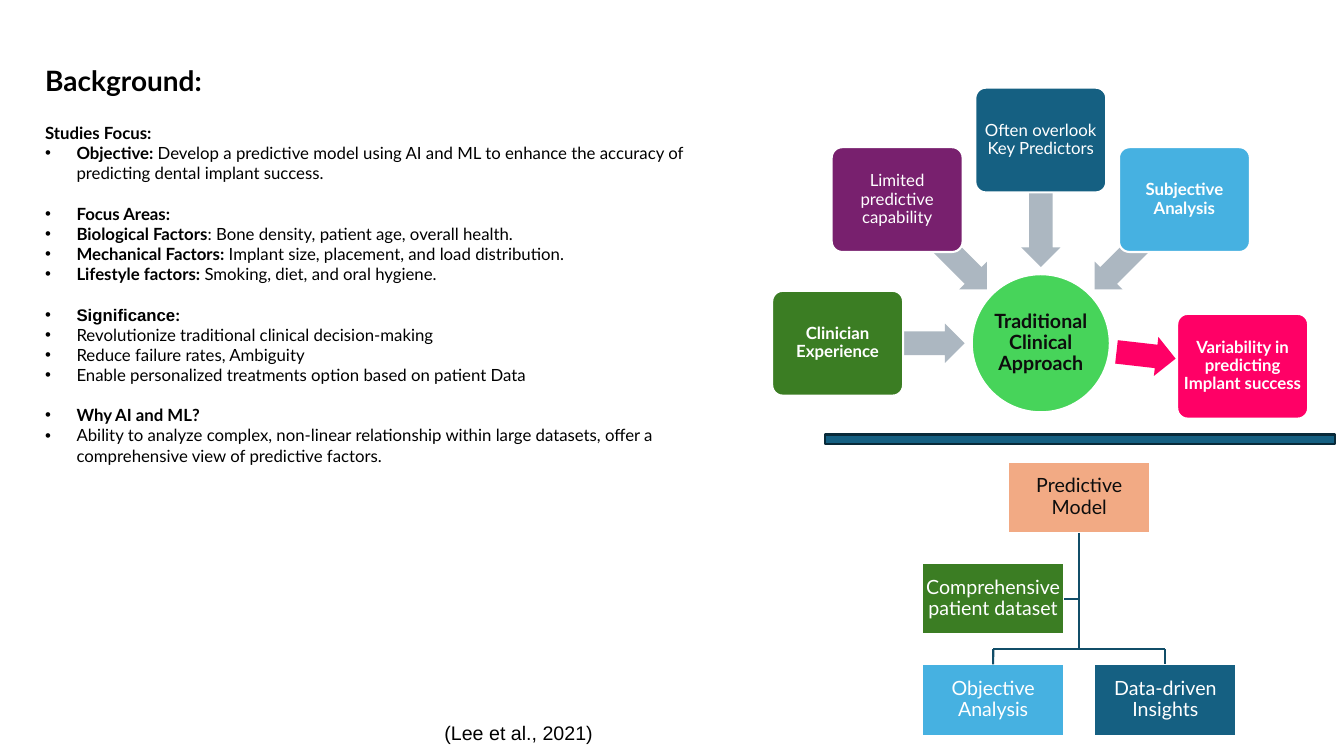
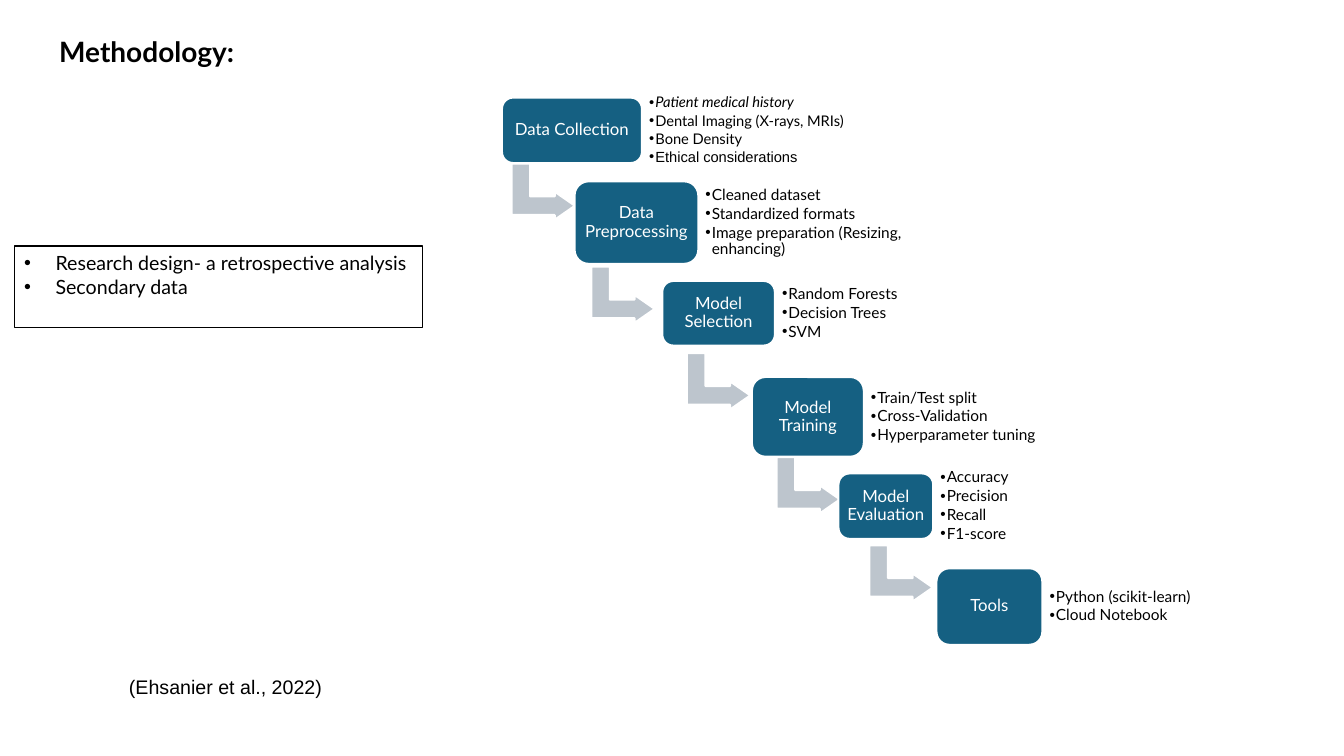
from collections import namedtuple
from dataclasses import dataclass
from math import cos, radians, sin

from lxml.etree import SubElement
from pptx import Presentation
from pptx.dml.color import RGBColor
from pptx.enum.shapes import MSO_CONNECTOR, MSO_SHAPE
from pptx.enum.text import MSO_ANCHOR, PP_ALIGN
from pptx.oxml.ns import qn
from pptx.util import Cm, Pt

Box = namedtuple("Box", "x y w h")


@dataclass(frozen=True)
class Theme:
    heading_font: str = "Lato"
    plain_font: str = "Arial"
    ink: str = "000000"
    soft_ink: str = "0D0D0D"
    white: str = "FFFFFF"
    teal: str = "156082"
    deep_teal: str = "092A39"
    wire: str = "114D68"
    sky: str = "46B1E1"
    forest: str = "3B7D23"
    plum: str = "78206E"
    lime: str = "47D45A"
    pink: str = "FF0066"
    peach: str = "F2AA84"
    inflow: str = "ACB7C1"
    step_arrow: str = "BDC5CD"
    title: float = 20
    lead: float = 14
    body: float = 12
    detail: float = 11
    small_detail: float = 10.5
    outline: float = 1.5
    hairline: float = 0.75
    tight: float = 0.9
    indent: float = 0.79


T = Theme()


def color(value):
    return RGBColor.from_string(value)


def apply(target, values):
    for name, value in values.items():
        setattr(target, name, value)


def cm_box(box):
    return [Cm(length) for length in box]


def set_bullet(paragraph, indent):
    properties = paragraph._p.get_or_add_pPr()
    properties.set("marL", str(Cm(indent)))
    properties.set("indent", str(-Cm(indent)))
    SubElement(properties, qn("a:buFont")).set("typeface", "Arial")
    SubElement(properties, qn("a:buChar")).set("char", "•")


def write(holder, paragraphs, size, ink=T.ink, bold=False, font=T.heading_font,
          inset=None, anchor=MSO_ANCHOR.TOP, bullet=None, **spacing):
    frame = holder.text_frame
    apply(frame, {"word_wrap": True, "vertical_anchor": anchor})
    if inset is not None:
        apply(frame, dict.fromkeys(
            ("margin_left", "margin_right", "margin_top", "margin_bottom"), Cm(inset)))
    for index, runs in enumerate(paragraphs):
        paragraph = frame.add_paragraph() if index else frame.paragraphs[0]
        apply(paragraph, {"alignment": PP_ALIGN.LEFT, **spacing})
        if bullet:
            set_bullet(paragraph, bullet)
        for words, changes in ([(runs, {})] if isinstance(runs, str) else runs):
            run = paragraph.add_run()
            run.text = words
            apply(run.font, {"name": font, "size": Pt(size), "bold": bold, **changes})
            run.font.color.rgb = color(ink)
    return frame


def add_text(slide, box, paragraphs, size, **style):
    return write(slide.shapes.add_textbox(*cm_box(box)), paragraphs, size, **style)


def add_block(slide, kind, box, fill=None, line=None, width=T.outline,
              adjustments=(), rotation=0):
    block = slide.shapes.add_shape(kind, *cm_box(box))
    block.shadow.inherit = False
    block.rotation = rotation
    for index, value in enumerate(adjustments):
        block.adjustments[index] = value
    if fill:
        block.fill.solid()
        block.fill.fore_color.rgb = color(fill)
    else:
        block.fill.background()
    if line:
        block.line.color.rgb = color(line)
        block.line.width = Pt(width)
    else:
        block.line.fill.background()
    return block


def add_card(slide, kind, box, fill, words, size, inset, ink=T.white, bold=False,
             adjustments=()):
    card = add_block(slide, kind, box, fill, T.white, adjustments=adjustments)
    write(card, [words], size, ink=ink, bold=bold, inset=inset,
          anchor=MSO_ANCHOR.MIDDLE, alignment=PP_ALIGN.CENTER, line_spacing=T.tight)
    return card


def centered(x, y, w, h):
    return Box(x - w / 2, y - h / 2, w, h)


def add_title(slide, box, words):
    add_text(slide, box, [words], T.title, bold=True,
             anchor=MSO_ANCHOR.MIDDLE, line_spacing=T.tight)


def add_citation(slide, box, words):
    add_text(slide, box, [words], T.lead, font=T.plain_font)


def add_study_focus(slide, box):
    strong = {"bold": True}
    groups = [
        ["Studies Focus:",
         [("Objective: ", strong),
          ("Develop a predictive model using AI and ML to enhance the accuracy of "
           "predicting dental implant success.", {})]],
        ["Focus Areas:",
         [("Biological Factors", strong),
          (": Bone density, patient age, overall health.", {})],
         [("Mechanical Factors: ", strong),
          ("Implant size, placement, and load distribution.", {})],
         [("Lifestyle factors: ", strong), ("Smoking, diet, and oral hygiene.", {})]],
        [[("Significance", {"bold": True, "name": T.plain_font}), (":", strong)],
         "Revolutionize traditional clinical decision-making",
         "Reduce failure rates, Ambiguity",
         "Enable personalized treatments option based on patient Data"],
        ["Why AI and ML?",
         "Ability to analyze complex, non-linear relationship within large datasets, "
         "offer a comprehensive view of predictive factors."],
    ]
    lines, group_starts = [], []
    for heading, *items in groups:
        group_starts.append(len(lines))
        lines += [[(heading, strong)] if isinstance(heading, str) else heading, *items]
    frame = add_text(slide, box, lines, T.body)
    for paragraph in frame.paragraphs[1:]:
        set_bullet(paragraph, T.indent)
    for start in group_starts[1:]:
        frame.paragraphs[start].space_before = Pt(T.body * 1.2)


def add_traditional_approach(slide, box):
    hub_x, hub_y = box.x + box.w / 2, box.y + 6.44
    orbit, hub_size = 5.12, 3.48
    add_card(slide, MSO_SHAPE.OVAL, centered(hub_x, hub_y, hub_size, hub_size), T.lime,
             "Traditional Clinical Approach", T.lead, 0.03, T.soft_ink, True)
    factors = [
        ("Clinician Experience", 180, T.forest, True),
        ("Limited predictive capability", 225, T.plum, False),
        ("Often overlook Key Predictors", 270, T.teal, False),
        ("Subjective Analysis", 315, T.sky, True),
        ("Variability in predicting Implant success", 6.5, T.pink, True),
    ]
    for words, angle, fill, bold in factors:
        across, down = cos(radians(angle)), sin(radians(angle))
        is_outcome = fill == T.pink
        reach, length = (2.67, 1.5) if is_outcome else (3.52, 3.2)
        add_block(slide, MSO_SHAPE.RIGHT_ARROW,
                  centered(hub_x + reach * across, hub_y + reach * down, length, 0.99),
                  T.pink if is_outcome else T.inflow, adjustments=(0.6, 0.5),
                  rotation=angle if is_outcome else (angle + 180) % 360)
        add_card(slide, MSO_SHAPE.ROUNDED_RECTANGLE,
                 centered(hub_x + orbit * across, hub_y + orbit * down, 3.3, 2.64),
                 fill, words, T.body, 0.08, bold=bold, adjustments=(0.1,))


def add_wire(slide, start, end, begin=None, finish=None):
    wire = slide.shapes.add_connector(
        MSO_CONNECTOR.STRAIGHT, *[Cm(value) for value in (*start, *end)])
    if begin:
        wire.begin_connect(*begin)
    if finish:
        wire.end_connect(*finish)
    wire.line.color.rgb = color(T.wire)
    wire.line.width = Pt(T.outline)
    SubElement(wire._element.spPr, qn("a:effectLst"))


def add_predictive_model(slide, box):
    card_w, card_h = 3.58, 1.8
    trunk_x = box.x + box.w / 2
    far_x = box.x + box.w - card_w
    dataset_y, leaf_y = box.y + 2.56, box.y + box.h - card_h
    fork_y = leaf_y - 0.38

    def node(x, y, fill, words, ink=T.white):
        return add_card(slide, MSO_SHAPE.RECTANGLE, Box(x, y, card_w, card_h),
                        fill, words, T.lead, 0.03, ink)

    model = node(trunk_x - card_w / 2, box.y, T.peach, "Predictive Model", T.soft_ink)
    dataset = node(box.x, dataset_y, T.forest, "Comprehensive patient dataset")
    leaves = [(box.x, node(box.x, leaf_y, T.sky, "Objective Analysis")),
              (far_x, node(far_x, leaf_y, T.teal, "Data-driven Insights"))]

    add_wire(slide, (trunk_x, box.y + card_h), (trunk_x, fork_y), begin=(model, 2))
    branch_y = dataset_y + card_h / 2
    add_wire(slide, (trunk_x, branch_y), (box.x + card_w, branch_y), finish=(dataset, 3))
    for leaf_x, leaf in leaves:
        middle = leaf_x + card_w / 2
        add_wire(slide, (trunk_x, fork_y), (middle, fork_y))
        add_wire(slide, (middle, fork_y), (middle, leaf_y), finish=(leaf, 0))


def add_design_note(slide, box):
    note = add_block(slide, MSO_SHAPE.RECTANGLE, box, line=T.ink, width=T.hairline)
    write(note, ["Research design- a retrospective analysis", "Secondary data"],
          T.lead, bullet=T.indent)


def add_staircase(slide, box):
    slanted, plain = {"italic": True}, {"name": T.plain_font}
    steps = [
        ("Data Collection", Box(0, 0, 3.53, 1.65), (1.04, 2.37),
         [[("Patient medical history", slanted)], "Dental Imaging (X-rays, MRIs)",
          "Bone Density", [("Ethical considerations", plain)]]),
        ("Data Preprocessing", Box(1.83, 2.11, 3.12, 2.08), (3.05, 4.97),
         ["Cleaned dataset", "Standardized formats",
          "Image preparation (Resizing, enhancing)"]),
        ("Model Selection", Box(4.04, 4.62, 2.84, 1.63), (5.46, 7.15),
         ["Random Forests", "Decision Trees", "SVM"]),
        ("Model Training", Box(6.3, 7.04, 2.82, 2.01), (7.72, 9.77),
         ["Train/Test split", "Cross-Validation", "Hyperparameter tuning"]),
        ("Model Evaluation", Box(8.48, 9.47, 2.39, 1.65), (10.06, 11.99),
         ["Accuracy", "Precision", "Recall", "F1-score"]),
        ("Tools", Box(10.95, 11.86, 2.67, 1.93), None,
         ["Python (scikit-learn)", "Cloud Notebook"]),
    ]
    for index, (words, place, bend, details) in enumerate(steps):
        step = place._replace(x=box.x + place.x, y=box.y + place.y)
        if bend:
            add_block(slide, MSO_SHAPE.BENT_UP_ARROW,
                      centered(box.x + bend[0], box.y + bend[1], 1.42, 1.6),
                      T.step_arrow, T.white, adjustments=(0.33, 0.25, 0.36), rotation=90)
        add_card(slide, MSO_SHAPE.ROUNDED_RECTANGLE, step, T.teal, words, T.body, 0.12,
                 adjustments=(0.17,))
        add_text(slide, step._replace(x=step.x + step.w + 0.05, w=6.1), details,
                 T.detail if index else T.small_detail, inset=0.13,
                 anchor=MSO_ANCHOR.MIDDLE, bullet=0.16,
                 line_spacing=T.tight, space_after=Pt(1.6))


def background_slide(slide):
    add_title(slide, Box(0.89, 1.02, 21.59, 2.13), "Background:")
    add_traditional_approach(slide, Box(19.46, 2.21, 13.54, 8.33))
    add_study_focus(slide, Box(0.89, 2.97, 17.91, 8.97))
    add_predictive_model(slide, Box(23.24, 11.63, 7.92, 6.91))
    add_block(slide, MSO_SHAPE.MATH_MINUS, Box(18.47, 10.54, 17.48, 1.07),
              T.teal, T.deep_teal)
    add_citation(slide, Box(10.95, 18.03, 6.71, 0.86), "(Lee et al., 2021)")


def methodology_slide(slide):
    add_title(slide, Box(1.24, 0.48, 8.99, 1.75), "Methodology:")
    add_staircase(slide, Box(12.65, 2.46, 19.72, 13.79))
    add_design_note(slide, Box(0.36, 6.2, 10.29, 2.06))
    add_citation(slide, Box(3, 16.87, 9.5, 0.86), "(Ehsanier et al., 2022)")


def main():
    deck = Presentation()
    apply(deck, {"slide_width": Cm(33.87), "slide_height": Cm(19.05)})
    for build in (background_slide, methodology_slide):
        build(deck.slides.add_slide(deck.slide_layouts[6]))
    deck.save("out.pptx")


if __name__ == "__main__":
    main()
